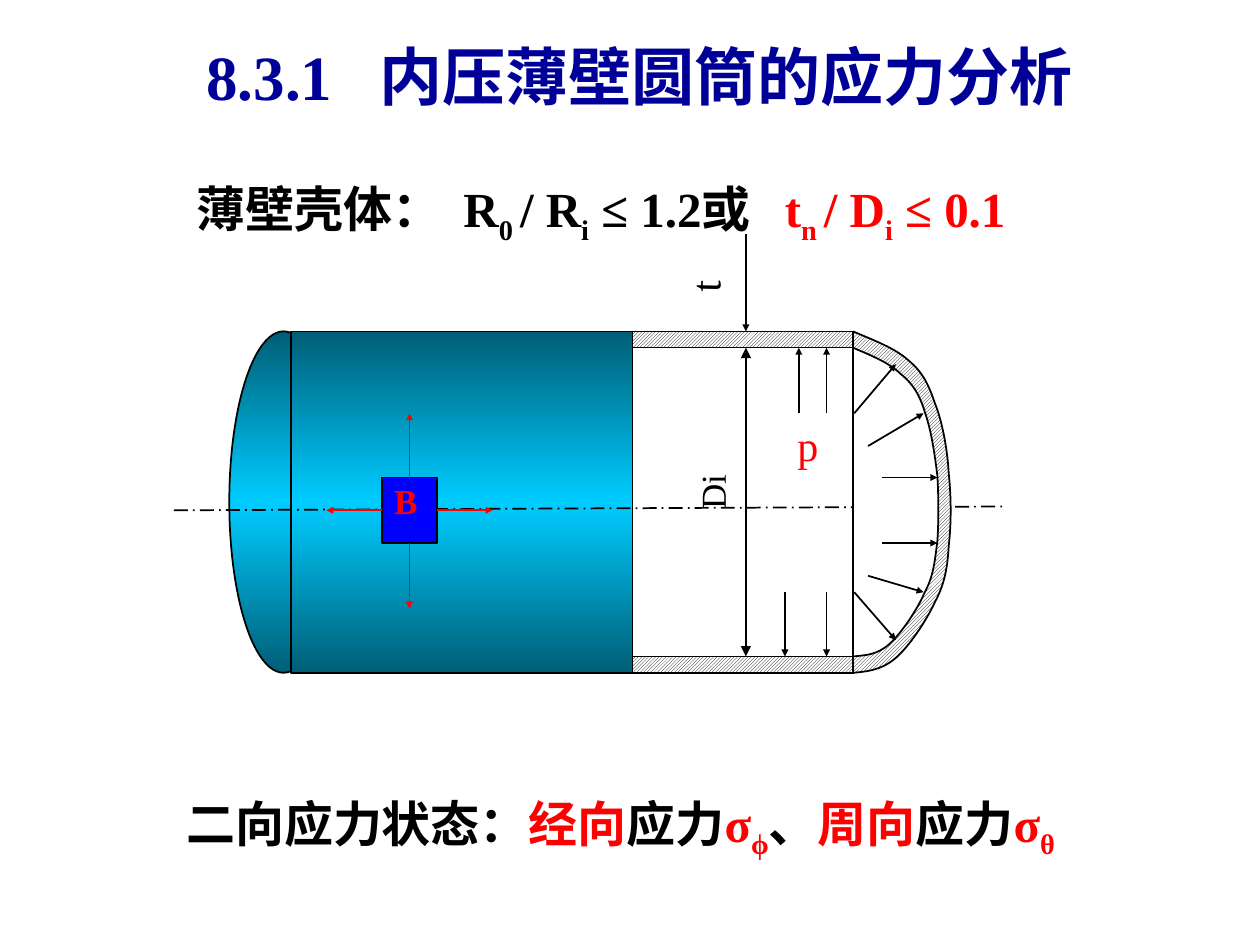
from dataclasses import dataclass
from typing import NamedTuple

from lxml.etree import SubElement
from pptx import Presentation
from pptx.dml.color import RGBColor
from pptx.enum.dml import MSO_LINE, MSO_PATTERN
from pptx.enum.shapes import MSO_CONNECTOR, MSO_SHAPE as SHAPE
from pptx.enum.text import MSO_AUTO_SIZE
from pptx.oxml.ns import qn
from pptx.util import Inches, Pt


@dataclass(frozen=True)
class Theme:
    font: str = "Times New Roman"
    black: str = "000000"
    white: str = "FFFFFF"
    red: str = "FF0000"
    navy: str = "000099"
    element_blue: str = "0000FF"
    steel: str = "00CCFF"
    steel_edge: str = "005E76"
    title_size: int = 36
    body_size: int = 28
    label_size: int = 24
    small_size: int = 20


class Box(NamedTuple):
    left: float
    top: float
    width: float
    height: float


class Run(NamedTuple):
    text: str
    color: str
    sub: bool = False


class Arrow(NamedTuple):
    start: tuple[float, float]
    end: tuple[float, float]


THEME = Theme()
BLACK, RED = THEME.black, THEME.red
SHELL_TOP, SHELL_HEIGHT, WALL = 2.63, 2.71, 0.13
SHELL_BOTTOM = SHELL_TOP + SHELL_HEIGHT
INNER_TOP, INNER_BOTTOM = SHELL_TOP + WALL, SHELL_BOTTOM - WALL
CUT_X, HEAD_X, DIMENSION_X = 5.02, 6.77, 5.92

# Each curve: a start point, then three points per cubic segment.
OUTER_HEAD = [(6.77, 2.63), (6.93, 2.7), (7.1, 2.76), (7.21, 2.86),
              (7.32, 2.95), (7.37, 3.05), (7.42, 3.2),
              (7.48, 3.35), (7.52, 3.57), (7.53, 3.76),
              (7.55, 3.95), (7.55, 4.16), (7.53, 4.33),
              (7.52, 4.5), (7.5, 4.63), (7.42, 4.78),
              (7.35, 4.93), (7.21, 5.14), (7.1, 5.23),
              (6.99, 5.32), (6.88, 5.33), (6.77, 5.34)]
INNER_HEAD = [(6.77, 2.76), (6.91, 2.82), (7.06, 2.88), (7.15, 2.97),
              (7.25, 3.05), (7.3, 3.14), (7.34, 3.27),
              (7.39, 3.41), (7.42, 3.61), (7.44, 3.78),
              (7.45, 3.95), (7.45, 4.14), (7.44, 4.29),
              (7.42, 4.45), (7.41, 4.57), (7.34, 4.7),
              (7.28, 4.84), (7.15, 5.03), (7.06, 5.11),
              (6.96, 5.2), (6.87, 5.2), (6.77, 5.21)]

PRESSURE = [
    Arrow((6.56, 3.28), (6.56, INNER_TOP)), Arrow((6.34, 3.28), (6.34, INNER_TOP)),
    Arrow((6.78, 3.28), (7.11, 2.89)), Arrow((6.89, 3.54), (7.33, 3.28)),
    Arrow((7, 3.79), (7.44, 3.79)), Arrow((7, 4.31), (7.44, 4.31)),
    Arrow((6.89, 4.57), (7.33, 4.7)), Arrow((6.78, 4.7), (7.11, 5.08)),
    Arrow((6.56, 4.7), (6.56, INNER_BOTTOM)), Arrow((6.23, 4.7), (6.23, INNER_BOTTOM)),
]


def rgb(color: str) -> RGBColor:
    return RGBColor.from_string(color)


def outline(shape, width: float = 1) -> None:
    shape.shadow.inherit = False
    shape.line.color.rgb = rgb(BLACK)
    shape.line.width = Pt(width)


def fill_solid(shape, color: str) -> None:
    shape.fill.solid()
    shape.fill.fore_color.rgb = rgb(color)


def fill_hatch(shape) -> None:
    shape.fill.patterned()
    shape.fill.pattern = MSO_PATTERN.LIGHT_UPWARD_DIAGONAL
    shape.fill.fore_color.rgb = rgb(BLACK)
    shape.fill.back_color.rgb = rgb(THEME.white)


def fill_steel(shape) -> None:
    """Vertical gradient, dark at both edges and bright in the middle."""
    shape.fill.gradient()
    shape.fill.gradient_angle = 270
    stops = shape.element.spPr.find(qn("a:gradFill")).find(qn("a:gsLst"))
    for stop in list(stops):
        stops.remove(stop)
    for position, color in ((0, THEME.steel_edge), (50000, THEME.steel),
                            (100000, THEME.steel_edge)):
        stop = SubElement(stops, qn("a:gs"), pos=str(position))
        SubElement(stop, qn("a:srgbClr"), val=color)


def add_shape(slide, kind: SHAPE, box: Box, line_width: float = 1):
    shape = slide.shapes.add_shape(kind, *map(Inches, box))
    outline(shape, line_width)
    return shape


def add_curve(slide, points: list[tuple[float, float]]):
    """Draw an open chain of cubic segments."""
    vertices = [(Inches(x), Inches(y)) for x, y in points]
    builder = slide.shapes.build_freeform(*vertices[0])
    builder.add_line_segments(vertices[1:], close=False)
    shape = builder.convert_to_shape()
    straight = list(shape.element.spPr.iter(qn("a:lnTo")))
    outline_path = straight[0].getparent()
    for first in range(0, len(straight), 3):
        cubic = SubElement(outline_path, qn("a:cubicBezTo"))
        for segment in straight[first:first + 3]:
            cubic.append(segment[0])
            outline_path.remove(segment)
    outline(shape)
    return shape


def add_line(slide, arrow: Arrow, color: str = BLACK, *, head: bool = False,
             tail: bool = True, size: str = "sm", dash=None):
    line = slide.shapes.add_connector(
        MSO_CONNECTOR.STRAIGHT, *map(Inches, (*arrow.start, *arrow.end)))
    line.line.color.rgb = rgb(color)
    line.line.width = Pt(1)
    if dash:
        line.line.dash_style = dash
    properties = line.element.spPr
    for tag, wanted in (("a:headEnd", head), ("a:tailEnd", tail)):
        if wanted:
            SubElement(properties.find(qn("a:ln")), qn(tag), type="triangle", w=size, len=size)
    SubElement(properties, qn("a:effectLst"))
    return line


def add_text(slide, box: Box, runs: list[Run], *, size: int, bold: bool = False,
             wrap: bool = True, rotation: float = 0, tabs: tuple[float, ...] = ()) -> None:
    text_box = slide.shapes.add_textbox(*map(Inches, box))
    text_box.rotation = rotation
    frame = text_box.text_frame
    frame.word_wrap = wrap
    frame.auto_size = MSO_AUTO_SIZE.SHAPE_TO_FIT_TEXT
    paragraph = frame.paragraphs[0]
    if tabs:
        tab_list = SubElement(paragraph._p.get_or_add_pPr(), qn("a:tabLst"))
        for tab in tabs:
            SubElement(tab_list, qn("a:tab"), pos=str(Inches(tab)), algn="l")
    for part in runs:
        run = paragraph.add_run()
        run.text = part.text
        run.font.name, run.font.size, run.font.bold = THEME.font, Pt(size), bold
        run.font.color.rgb = rgb(part.color)
        if part.sub:
            run.font._element.set("baseline", "-25000")


def draw_vessel(slide) -> None:
    fill_steel(add_shape(slide, SHAPE.OVAL, Box(1.82, SHELL_TOP, 0.86, SHELL_HEIGHT)))
    fill_steel(add_shape(slide, SHAPE.RECTANGLE, Box(2.31, SHELL_TOP, 2.71, SHELL_HEIGHT)))
    add_line(slide, Arrow((1.38, 4.05), (7.99, 4.02)), tail=False, dash=MSO_LINE.LONG_DASH_DOT)
    for top, line_width in ((SHELL_TOP, 0.25), (INNER_BOTTOM, 1)):
        fill_hatch(add_shape(slide, SHAPE.RECTANGLE, Box(CUT_X, top, 1.76, WALL), line_width))
    fill_hatch(add_curve(slide, OUTER_HEAD))
    fill_solid(add_curve(slide, INNER_HEAD), THEME.white)
    add_line(slide, Arrow((HEAD_X, SHELL_TOP), (HEAD_X, SHELL_BOTTOM)), tail=False)


def draw_dimensions(slide) -> None:
    add_line(slide, Arrow((DIMENSION_X, INNER_BOTTOM), (DIMENSION_X, INNER_TOP)),
             head=True, size="med")
    add_line(slide, Arrow((DIMENSION_X, 1.86), (DIMENSION_X, SHELL_TOP)))
    add_text(slide, Box(5.2, 3.48, 0.9, 0.43), [Run("Di", BLACK)],
             size=THEME.small_size, rotation=270)
    add_text(slide, Box(6.23, 3.28, 0.55, 0.5), [Run("p", RED)], size=THEME.label_size)
    add_text(slide, Box(5.44, 2.02, 0.29, 0.5), [Run("t", BLACK)],
             size=THEME.label_size, wrap=False, rotation=271.1)


def draw_stress_element(slide) -> None:
    element = add_shape(slide, SHAPE.RECTANGLE, Box(3.03, 3.79, 0.44, 0.52))
    fill_solid(element, THEME.element_blue)
    for side, arrow in ((3, Arrow((3.47, 4.05), (3.91, 4.05))),
                        (1, Arrow((3.03, 4.05), (2.59, 4.05))),
                        (0, Arrow((3.25, 3.79), (3.25, 3.28))),
                        (2, Arrow((3.25, 4.31), (3.25, 4.83)))):
        add_line(slide, arrow, RED).begin_connect(element, side)
    add_text(slide, Box(3.03, 3.76, 0.39, 0.43), [Run("B", RED)],
             size=THEME.small_size, bold=True, wrap=False)


def main() -> None:
    deck = Presentation()
    deck.slide_width, deck.slide_height = Inches(10), Inches(7.5)
    slide = deck.slides.add_slide(deck.slide_layouts[6])
    add_text(slide, Box(1.46, 1.37, 7.32, 0.57), [
        Run("薄壁壳体：\tR", BLACK), Run("0 ", BLACK, True), Run("/ R", BLACK),
        Run("i", BLACK, True), Run(" ≤ 1.2或\t", BLACK), Run("t", RED), Run("n ", RED, True),
        Run("/ D", RED), Run("i", RED, True), Run(" ≤ 0.1", RED),
    ], size=THEME.body_size, bold=True, tabs=(2.12, 4.67))
    draw_vessel(slide)
    draw_dimensions(slide)
    for arrow in PRESSURE:
        add_line(slide, arrow)
    draw_stress_element(slide)
    add_text(slide, Box(1.38, 6.25, 7.38, 0.57), [
        Run("二向应力状态：", BLACK), Run("经向", RED), Run("应力", BLACK), Run("σ", RED),
        Run("ϕ", RED, True), Run("、", BLACK), Run("周向", RED), Run("应力", BLACK),
        Run("σ", RED), Run("θ", RED, True),
    ], size=THEME.body_size, bold=True)
    add_text(slide, Box(1.54, 0.25, 7.4, 0.75),
             [Run("8.3.1\t内压薄壁圆筒的应力分析", THEME.navy)],
             size=THEME.title_size, bold=True, tabs=(1.37,))
    deck.save("out.pptx")


if __name__ == "__main__":
    main()
